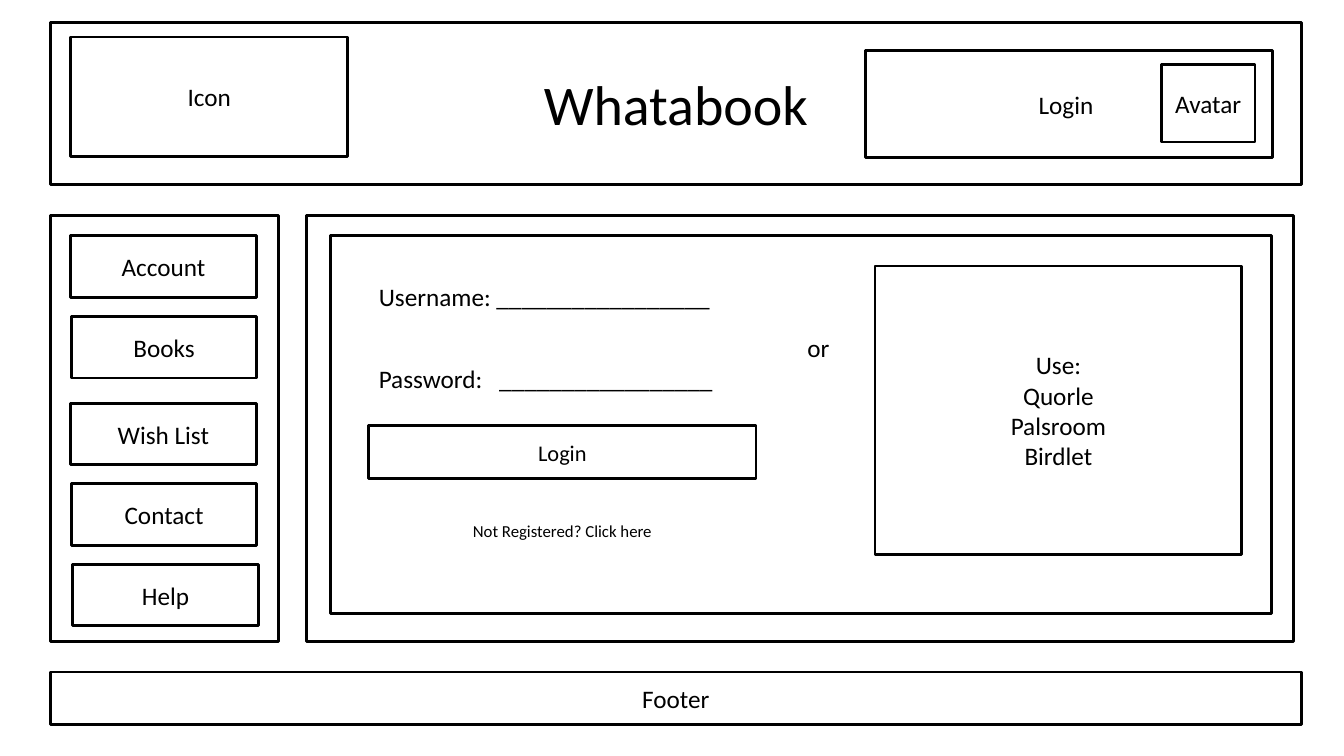
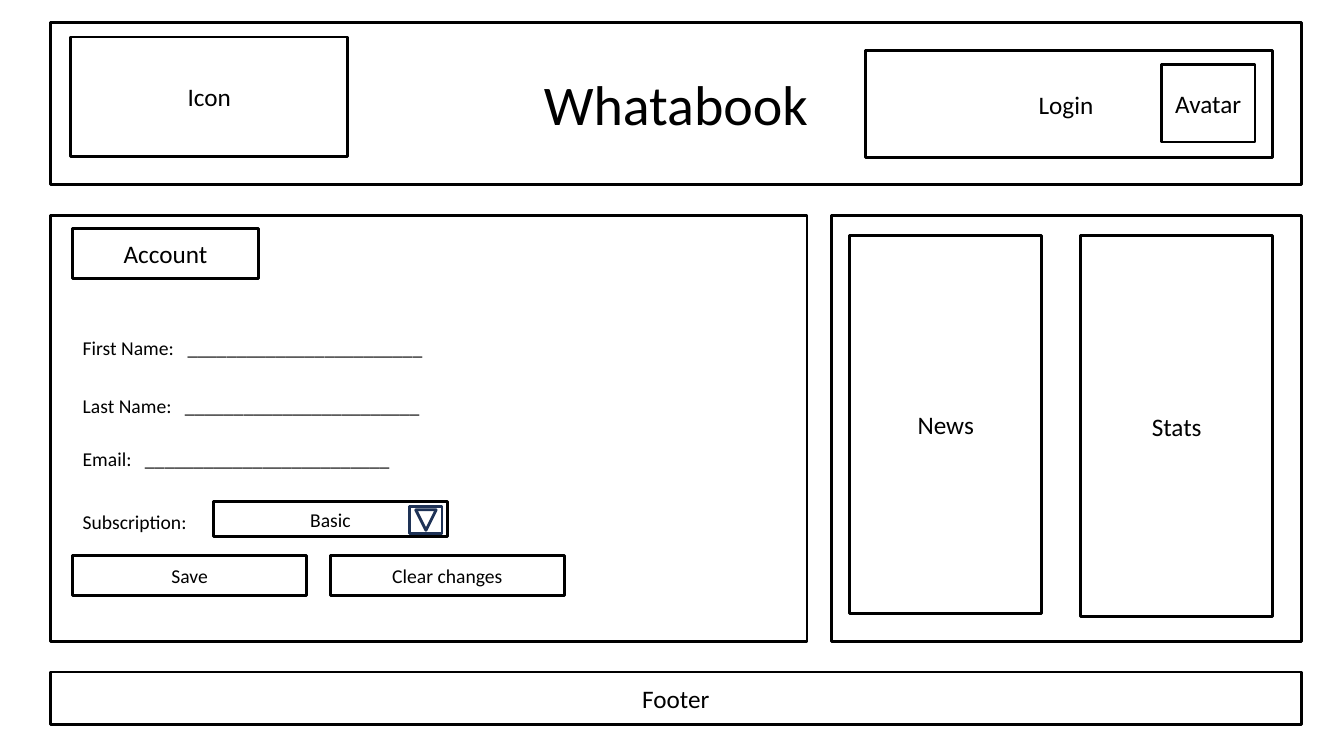
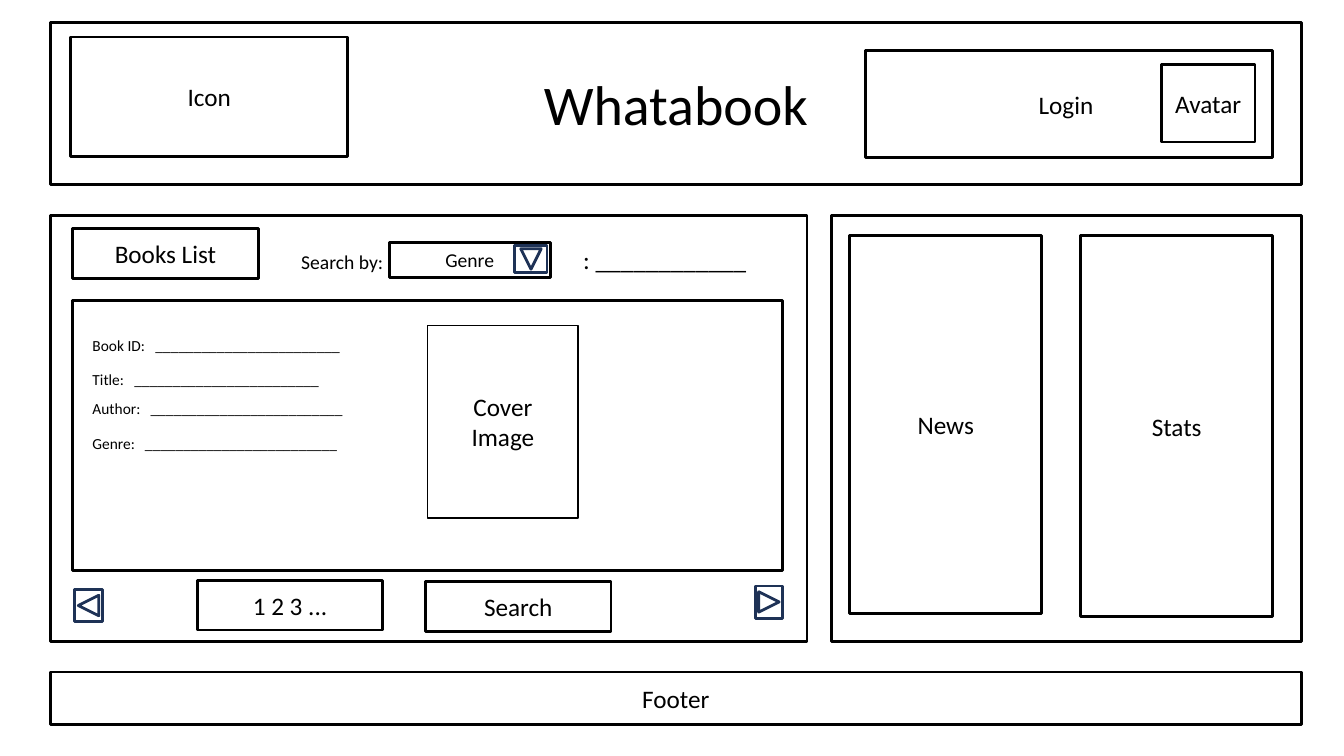
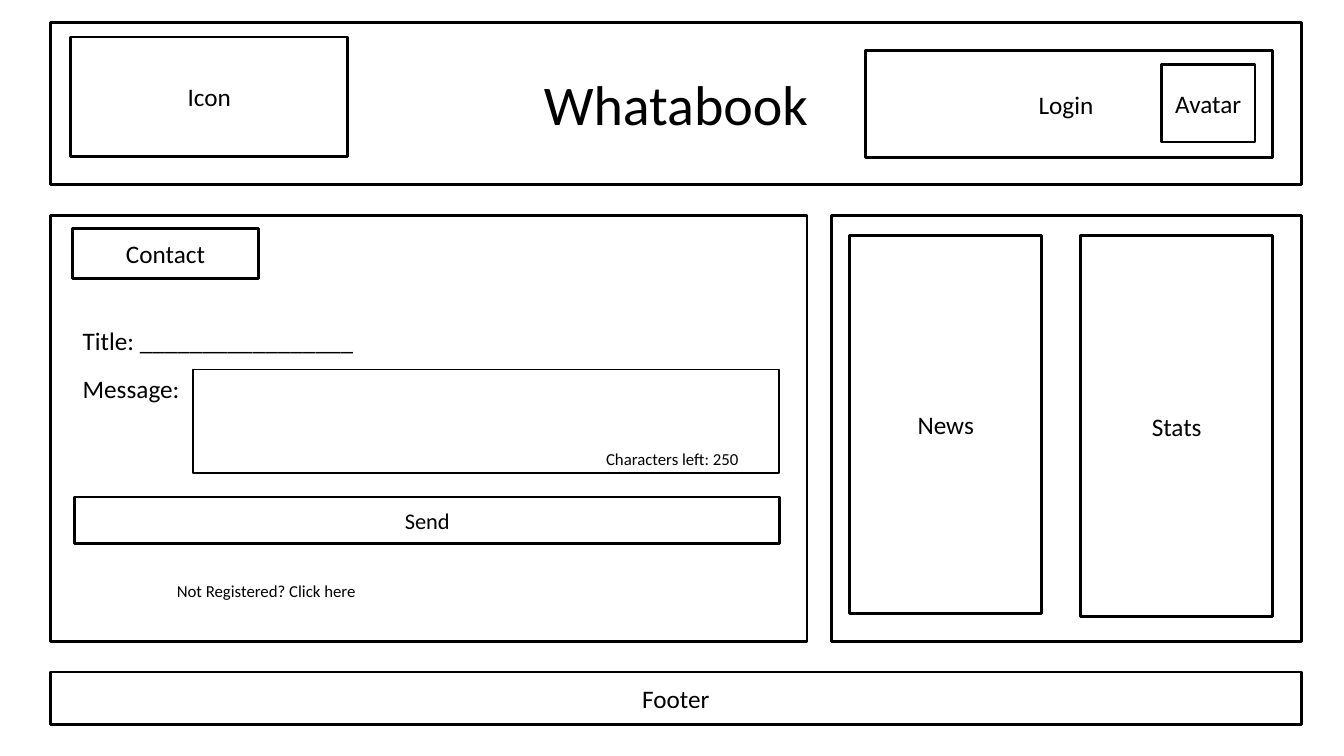
import dataclasses

import pptx
import pptx.dml.color
import pptx.enum.shapes
import pptx.enum.text
import pptx.oxml
import pptx.oxml.ns
import pptx.util

Pt = pptx.util.Pt
Align = pptx.enum.text.PP_ALIGN
Shape = pptx.enum.shapes.MSO_SHAPE


@dataclasses.dataclass(frozen=True)
class Theme:
    ink: str = "000000"
    arrow: str = "1E3256"
    font: str = "Calibri"
    title: int = 40
    body: int = 18
    button: int = 16
    form: int = 14
    note: int = 12
    detail: int = 11
    line: int = 2
    thin: int = 1


THEME = Theme()
FIELD_SIZE = (276.5, 44)
NOTE_SIZE = (276.5, 33)
MENU_SIZE = (132.5, 44)
TAB_SIZE = (132.5, 35.5)
ARROW_SIZE = (19.5, 23)


def color(code):
    return pptx.dml.color.RGBColor.from_string(code)


def apply(target, formats):
    for name, value in formats.items():
        setattr(target, name, value)


def place(box, position, size):
    names = ("left", "top", "width", "height")
    apply(box, dict(zip(names, map(Pt, (*position, *size)))))


def outline(box, code=THEME.ink, width=THEME.line):
    box.shadow.inherit = False
    box.fill.background()
    box.line.color.rgb = color(code)
    box.line.width = Pt(width)


def write(box, lines, size, align):
    frame = box.text_frame
    apply(frame, {
        "word_wrap": True,
        "auto_size": pptx.enum.text.MSO_AUTO_SIZE.NONE,
        "vertical_anchor": pptx.enum.text.MSO_ANCHOR.MIDDLE,
    })
    for index, line in enumerate(lines):
        para = frame.add_paragraph() if index else frame.paragraphs[0]
        para.alignment = align
        span = para.add_run()
        span.text = line
        apply(span.font, {"name": THEME.font, "size": Pt(size)})
        span.font.color.rgb = color(THEME.ink)


def add_box(page, position, size, *lines, text=THEME.body, width=THEME.line):
    box = page.shapes.add_shape(Shape.RECTANGLE, *map(Pt, (*position, *size)))
    outline(box, width=width)
    write(box, lines, text, Align.CENTER)


def add_label(page, position, size, words, text=THEME.body, align=Align.LEFT):
    box = page.shapes.add_textbox(*map(Pt, (*position, *size)))
    write(box, [words], text, align)
    return box


def add_field(page, position, label, blanks, stop, text):
    box = add_label(page, position, FIELD_SIZE, f"{label}\t{'_' * blanks}", text)
    settings = box.text_frame.paragraphs[0]._p.get_or_add_pPr()
    tabs = pptx.oxml.parse_xml(
        f'<a:tabLst {pptx.oxml.ns.nsdecls("a")}>'
        f'<a:tab pos="{int(Pt(stop))}" algn="l"/></a:tabLst>')
    settings.append(tabs)


def add_arrow(page, position, rotation=0):
    arrow = page.shapes.add_shape(
        Shape.ACTION_BUTTON_FORWARD_OR_NEXT, *map(Pt, (*position, *ARROW_SIZE)))
    outline(arrow, THEME.arrow)
    arrow.rotation = rotation


def add_page(deck):
    page = deck.slides.add_slide(deck.slide_layouts[5])
    title = page.shapes.title
    place(title, (36, 16), (893.5, 116))
    outline(title)
    write(title, ["Whatabook"], THEME.title, Align.CENTER)
    add_box(page, (50.5, 26.5), (198, 85.5), "Icon")
    add_box(page, (618, 36), (291, 76.5), "Login ")
    add_box(page, (829.5, 46), (67, 55.5), "Avatar")
    add_box(page, (36, 480), (893.5, 37.5), "Footer")
    return page


def add_section_page(deck, heading):
    page = add_page(deck)
    add_box(page, (36, 154), (540.5, 304.5))
    add_box(page, (594, 154), (335.5, 304.5))
    add_box(page, (607, 168.5), (137, 270), "News")
    add_box(page, (772, 168.5), (137, 272), "Stats")
    add_box(page, (52, 163.5), TAB_SIZE, heading)
    return page


def add_register_note(page, position):
    add_label(page, position, NOTE_SIZE, "Not Registered? Click here",
              THEME.note, Align.CENTER)


def build_login(deck):
    page = add_page(deck)
    add_box(page, (36, 154), (163, 304.5))
    add_box(page, (219, 154), (705, 304.5))
    add_box(page, (236, 168.5), (672.5, 270))
    menu = [
        ("Account", 50.5, 168.5),
        ("Books", 51, 226),
        ("Wish List", 50.5, 288),
        ("Contact", 51, 345.5),
        ("Help", 52, 403),
    ]
    for name, left, top in menu:
        add_box(page, (left, top), MENU_SIZE, name)
    add_label(page, (263.5, 190), FIELD_SIZE, "Username: " + "_" * 17)
    add_field(page, (263.5, 248.5), "Password:", 17, 86, THEME.body)
    add_box(page, (263.5, 304), (276.5, 38), "Login", text=THEME.button)
    add_register_note(page, (263.5, 363))
    add_label(page, (560, 226), (49, 44), "or", align=Align.CENTER)
    add_box(page, (625, 190), (262, 206), "Use:", "Quorle", "Palsroom", "Birdlet")


def build_account(deck):
    page = add_section_page(deck, "Account")
    fields = [
        ("First Name:", 24, 75, 226),
        ("Last Name:", 24, 73, 268),
        ("Email:", 25, 44.5, 305.5),
    ]
    for label, blanks, stop, top in fields:
        add_field(page, (52, top), label, blanks, stop, THEME.form)
    add_label(page, (52, 350.5), FIELD_SIZE, "Subscription:", THEME.form)
    add_box(page, (152.5, 358.5), (167, 25), "Basic", text=THEME.form)
    add_arrow(page, (294.5, 360), 90)
    for name, left in (("Save", 52), ("Clear changes", 236)):
        add_box(page, (left, 396.5), (167, 29), name, text=THEME.form)


def build_books(deck):
    page = add_section_page(deck, "Books List")
    add_label(page, (208, 165), FIELD_SIZE, "Search by:", THEME.form)
    add_box(page, (278, 173), (115, 25), "Genre", text=THEME.form)
    add_arrow(page, (369.5, 173.5), 90)
    add_label(page, (409.5, 170.5), (140, 29), ": " + "_" * 12)
    add_box(page, (52, 214.5), (507, 193))
    fields = [
        ("Book ID:", 24, 45, 224.5),
        ("Title:", 24, 30, 249),
        ("Author:", 25, 41.5, 270),
        ("Genre:", 25, 37.5, 295),
    ]
    for label, blanks, stop, top in fields:
        add_field(page, (59, top), label, blanks, stop, THEME.detail)
    add_box(page, (305.5, 232.5), (107.5, 137.5), "Cover", "Image", width=THEME.thin)
    add_arrow(page, (53.5, 421), 180)
    add_box(page, (141, 414.5), TAB_SIZE, "1 2 3 ...")
    add_box(page, (304, 415.5), TAB_SIZE, "Search")
    add_arrow(page, (539.5, 418.5))


def build_contact(deck):
    page = add_section_page(deck, "Contact")
    add_label(page, (52, 225.5), (241, 35.5), "Title: " + "_" * 17)
    add_label(page, (52, 256.5), (101.5, 42), "Message:")
    add_box(page, (138, 264), (418.5, 74), width=THEME.thin)
    add_label(page, (342, 311), NOTE_SIZE, "Characters left: 250",
              THEME.note, Align.CENTER)
    add_box(page, (53.5, 355), (503.5, 33), "Send", text=THEME.button)
    add_register_note(page, (52, 405.5))


def main():
    deck = pptx.Presentation()
    apply(deck, {"slide_width": Pt(960), "slide_height": Pt(540)})
    for build in (build_login, build_account, build_books, build_contact):
        build(deck)
    deck.save("out.pptx")


main()
